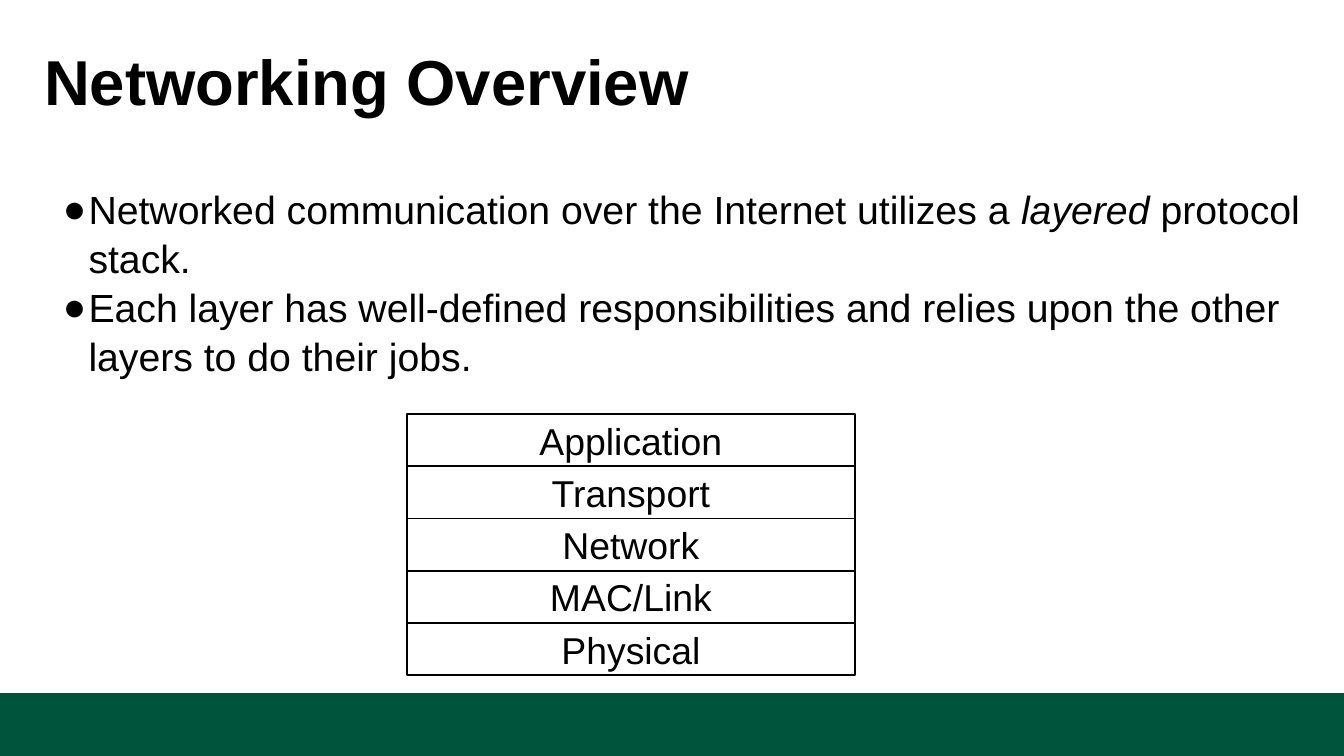
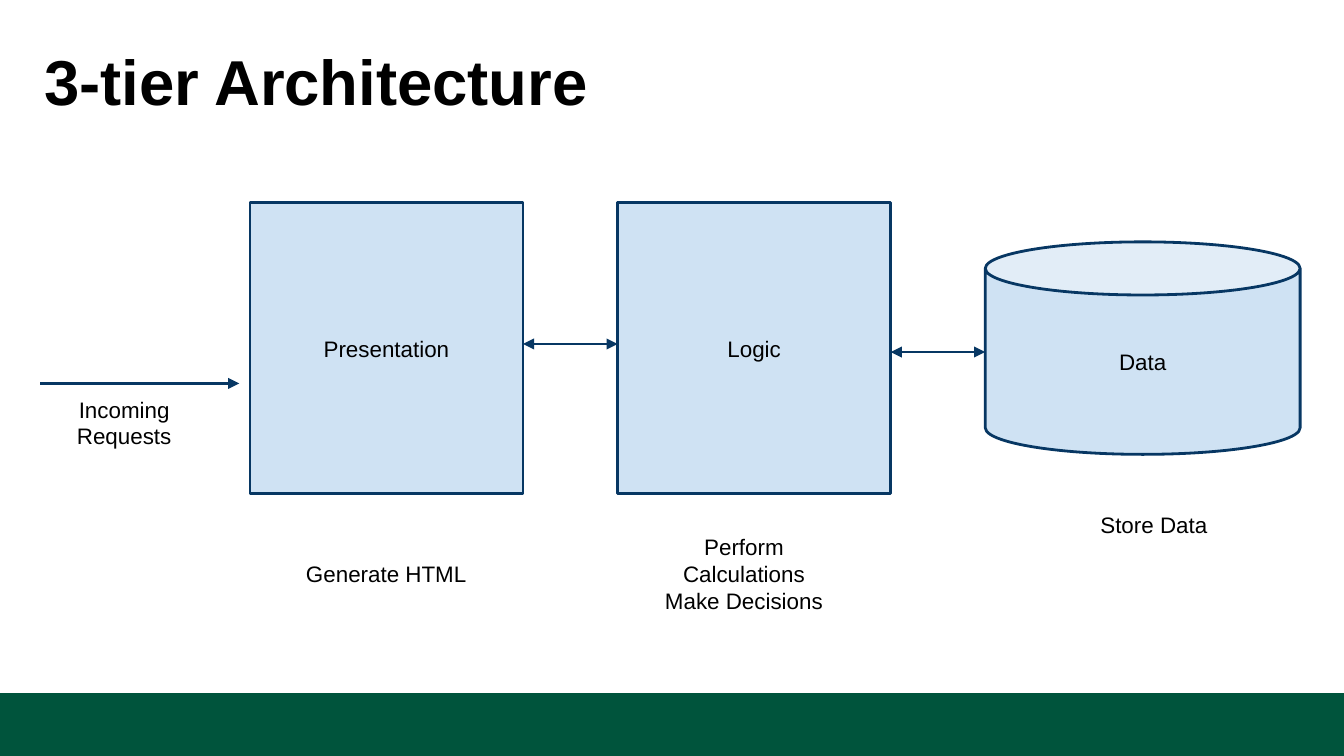
from lxml import etree
from pptx import Presentation
from pptx.dml.color import RGBColor
from pptx.enum.shapes import MSO_CONNECTOR, MSO_SHAPE
from pptx.enum.text import MSO_ANCHOR, MSO_AUTO_SIZE, PP_ALIGN
from pptx.oxml.ns import qn
from pptx.util import Pt

RECTANGLE, CAN = MSO_SHAPE.RECTANGLE, MSO_SHAPE.CAN
STRAIGHT = MSO_CONNECTOR.STRAIGHT
TOP, MIDDLE = MSO_ANCHOR.TOP, MSO_ANCHOR.MIDDLE
LEFT, CENTER = PP_ALIGN.LEFT, PP_ALIGN.CENTER
NO_AUTOFIT = MSO_AUTO_SIZE.NONE

BLACK = RGBColor(0x00, 0x00, 0x00)
WHITE = RGBColor(0xFF, 0xFF, 0xFF)
GREEN = RGBColor(0x00, 0x54, 0x3C)
NAVY = RGBColor(0x07, 0x37, 0x63)
PALE_BLUE = RGBColor(0xCF, 0xE2, 0xF3)
FONT = "Arial"

# Content: asterisks enclose italics; boxes are left, top, width, height in points
SLIDE_WIDTH, SLIDE_HEIGHT = 720, 405
BAND_TOP = 371.4
TITLE_BOX = (21.6, 16.7, 681.8, 52.6)
BODY_BOX = (21.6, 96.5, 683.3, 147.6)

OVERVIEW_TITLE = "Networking Overview"
OVERVIEW_POINTS = [
    "Networked communication over the Internet utilizes a *layered* protocol stack.",
    "Each layer has well-defined responsibilities and relies upon the other "
    "layers to do their jobs.",
]
LAYERS = ["Application", "Transport", "Network", "MAC/Link", "Physical"]
STACK_LEFT, STACK_TOP, LAYER_WIDTH, LAYER_HEIGHT = 218, 221.8, 240, 28

TIERS_TITLE = "3-tier Architecture"
TIERS = [
    ("Presentation", RECTANGLE, (133.9, 108.6, 146.3, 156)),
    ("Logic", RECTANGLE, (330.9, 108.6, 146.3, 156)),
    ("Data", CAN, (527.8, 129.6, 168.7, 113.8)),
]
TIER_ARROW_HEIGHTS = [184.3, 188.6]
REQUEST_ARROW = (21.6, 128.2, 205.4)
LABEL_WIDTH, LABEL_HEIGHT = 101.5, 25.2
LABELS = [
    (["Incoming Requests"], 15.8, 213.8),
    (["Generate HTML"], 156.2, 294.5),
    (["Perform Calculations", "Make Decisions"], 347.8, 294.5),
    (["Store Data"], 567.4, 268.6),
]


def points(*lengths):
    return [Pt(length) for length in lengths]


def place(shape, box):
    shape.left, shape.top, shape.width, shape.height = points(*box)


def write(shape, lines, size=12, bold=False, align=CENTER, anchor=MIDDLE,
          inset=7.2, spacing=1.0, bullet=None):
    frame = shape.text_frame
    frame.word_wrap = True
    frame.auto_size = NO_AUTOFIT
    frame.vertical_anchor = anchor
    frame.margin_left = frame.margin_right = Pt(inset)
    frame.margin_top = frame.margin_bottom = Pt(inset)
    for index, line in enumerate(lines):
        paragraph = frame.add_paragraph() if index else frame.paragraphs[0]
        paragraph.alignment = align
        paragraph.line_spacing = spacing
        paragraph.space_before = paragraph.space_after = Pt(0)
        for part, words in enumerate(line.split("*")):
            run = paragraph.add_run()
            run.text = words
            run.font.name, run.font.size = FONT, Pt(size)
            run.font.bold, run.font.italic = bold, part % 2 == 1
            run.font.color.rgb = BLACK
        if bullet:
            add_bullet(paragraph, bullet)


def add_bullet(paragraph, character):
    properties = paragraph._p.get_or_add_pPr()
    properties.set("marL", str(Pt(23.8)))
    properties.set("indent", str(Pt(-13.7)))
    color = etree.SubElement(properties, qn("a:buClr"))
    etree.SubElement(color, qn("a:srgbClr"), val=str(BLACK))
    etree.SubElement(properties, qn("a:buSzPct"), val="99000")
    etree.SubElement(properties, qn("a:buFont"), typeface=FONT)
    etree.SubElement(properties, qn("a:buChar"), char=character)


def add_box(slide, kind, box, fill, line=None, line_width=1.0):
    shape = slide.shapes.add_shape(kind, *points(*box))
    shape.shadow.inherit = False
    shape.fill.solid()
    shape.fill.fore_color.rgb = fill
    if line is None:
        shape.line.fill.background()
    else:
        shape.line.color.rgb = line
        shape.line.width = Pt(line_width)
    return shape


def add_arrow(slide, start, end, height, ends):
    arrow = slide.shapes.add_connector(STRAIGHT, *points(start, height, end, height))
    arrow.line.color.rgb = NAVY
    arrow.line.width = Pt(1.5)
    line = arrow.line._get_or_add_ln()
    for end_tag in ends:
        etree.SubElement(line, qn(end_tag), type="triangle")
    etree.SubElement(arrow._element.spPr, qn("a:effectLst"))


def add_slide(presentation, layout_index, title):
    slide = presentation.slides.add_slide(presentation.slide_layouts[layout_index])
    write(slide.shapes.title, [title], size=34, bold=True, align=LEFT, inset=2)
    return slide


presentation = Presentation()
presentation.slide_width, presentation.slide_height = points(SLIDE_WIDTH, SLIDE_HEIGHT)
master = presentation.slide_master
place(master.placeholders[0], TITLE_BOX)

# Slide 1: protocol stack
overview = add_slide(presentation, 1, OVERVIEW_TITLE)
body = overview.placeholders[1]
place(body, BODY_BOX)
write(body, OVERVIEW_POINTS, size=21, align=LEFT, anchor=TOP, inset=2,
      spacing=1.04, bullet="●")
for row, layer in enumerate(LAYERS):
    layer_top = STACK_TOP + row * LAYER_HEIGHT
    layer_box = add_box(overview, RECTANGLE,
                        (STACK_LEFT, layer_top, LAYER_WIDTH, LAYER_HEIGHT), WHITE, BLACK)
    write(layer_box, [layer], size=20, inset=6)

# Green band, moved to the master so that every slide shows it
band = add_box(overview, RECTANGLE,
               (0, BAND_TOP, SLIDE_WIDTH, SLIDE_HEIGHT - BAND_TOP), GREEN)
master.shapes._spTree.insert(2, band._element)

# Slide 2: tiers, arrows and labels
architecture = add_slide(presentation, 5, TIERS_TITLE)
for name, kind, box in TIERS:
    write(add_box(architecture, kind, box, PALE_BLUE, NAVY, 1.5), [name])

add_arrow(architecture, *REQUEST_ARROW, ["a:tailEnd"])
for (_, _, source), (_, _, target), height in zip(TIERS, TIERS[1:], TIER_ARROW_HEIGHTS):
    add_arrow(architecture, source[0] + source[2], target[0], height,
              ["a:headEnd", "a:tailEnd"])

for lines, left, top in LABELS:
    label = architecture.shapes.add_textbox(*points(left, top, LABEL_WIDTH, LABEL_HEIGHT))
    write(label, lines)

presentation.save("out.pptx")
